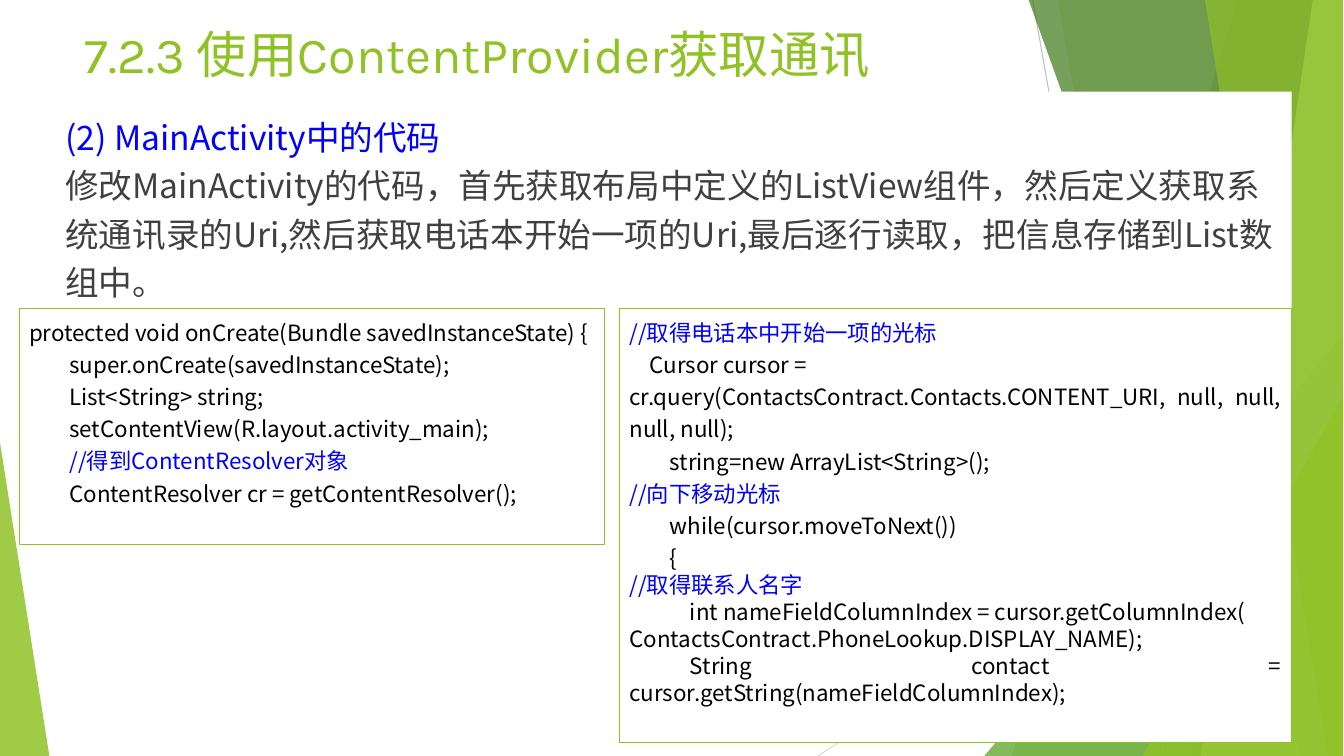
"""Build the slide on reading contacts through a ContentProvider."""
from dataclasses import dataclass
from typing import Optional

from lxml.etree import SubElement
from pptx import Presentation
from pptx.dml.color import RGBColor
from pptx.enum.shapes import MSO_CONNECTOR, MSO_SHAPE
from pptx.enum.text import MSO_ANCHOR, MSO_AUTO_SIZE, PP_ALIGN
from pptx.oxml.ns import qn
from pptx.util import Inches, Pt

WIDE, HIGH = 13.33, 7.5


@dataclass(frozen=True)
class Theme:
    """Colours, fonts and type sizes."""
    green: str = "90C226"
    leaf: str = "54A021"
    moss: str = "3F7819"
    lime: str = "C0E474"
    white: str = "FFFFFF"
    black: str = "000000"
    blue: str = "0000FF"
    grey: str = "404040"
    silver: str = "BFBFBF"
    pale: str = "D9D9D9"
    head: str = "Karla"
    body: str = "Noto Sans CJK SC"
    code: str = "Noto Sans CJK JP"
    big: int = 36
    mid: int = 24
    small: int = 16
    rule: float = 0.75


THEME = Theme()


@dataclass(frozen=True)
class Ray:
    """A thin line behind the facets."""
    start: tuple[float, float]
    end: tuple[float, float]
    hue: str


@dataclass(frozen=True)
class Band:
    """A facet running from its top and foot to the right edge."""
    top: float
    foot: float
    hue: str
    alpha: int


@dataclass(frozen=True)
class Wedge:
    """A triangle with its apex at one side."""
    box: tuple[float, float, float, float]
    apex: float
    hue: str
    alpha: int


@dataclass(frozen=True)
class Line:
    """One paragraph with its first-line indent and spacing."""
    text: str
    hue: str = THEME.black
    pad: float = 0
    gap: float = 1.2


@dataclass(frozen=True)
class Panel:
    """A rectangle holding paragraphs."""
    box: tuple[float, float, float, float]
    lines: list[Line]
    font: str
    size: int
    fill: Optional[str] = None
    edge: Optional[str] = None
    align: PP_ALIGN = PP_ALIGN.LEFT


RAYS = [
    Ray((10.25, 0), (11.58, HIGH), THEME.silver),
    Ray((WIDE, 4.03), (8.12, HIGH), THEME.pale),
]
FACETS = [
    Band(12.28, 10.04, THEME.green, 30),
    Band(10.5, 11.82, THEME.green, 20),
    Wedge((9.77, 3.33, 3.56, 4.17), 1, THEME.leaf, 72),
    Band(10.21, 12.91, THEME.moss, 70),
    Band(13.03, 11.92, THEME.lime, 70),
    Band(11.96, 13.18, THEME.green, 65),
    Wedge((11.34, 3.93, 1.99, 3.57), 1, THEME.green, 80),
    Wedge((0, 4.39, 0.49, 3.11), 0, THEME.green, 85),
]
STEP = 0.2
TITLE = [Line("7.2.3 使用ContentProvider获取通讯", THEME.green, gap=1)]
INTRO = [
    Line("(2) MainActivity中的代码", THEME.blue, gap=1.5),
    Line("修改MainActivity的代码，首先获取布局中定义的ListView组件，然后定义获取"
         "系统通讯录的Uri,然后获取电话本开始一项的Uri,最后逐行读取，"
         "把信息存储到List数组中。", THEME.grey),
]
CREATE = [
    Line("protected void onCreate(Bundle savedInstanceState) {"),
    Line("super.onCreate(savedInstanceState);", pad=2 * STEP),
    Line("List<String> string;", pad=2 * STEP),
    Line("setContentView(R.layout.activity_main);", pad=2 * STEP),
    Line("//得到ContentResolver对象", THEME.blue, 2 * STEP),
    Line("ContentResolver cr = getContentResolver();", pad=2 * STEP),
]
QUERY = [
    Line("//取得电话本中开始一项的光标", THEME.blue),
    Line("Cursor cursor =", pad=STEP),
    Line("cr.query(ContactsContract.Contacts.CONTENT_URI, null, null, null, null);"),
    Line("string=new ArrayList<String>();", pad=2 * STEP),
    Line("//向下移动光标", THEME.blue),
    Line("while(cursor.moveToNext())", pad=2 * STEP),
    Line("{", pad=2 * STEP),
    Line("//取得联系人名字", THEME.blue, gap=1),
    Line("int nameFieldColumnIndex = cursor.getColumnIndex(", pad=3 * STEP, gap=1),
    Line("ContactsContract.PhoneLookup.DISPLAY_NAME);", gap=1),
    Line("String contact = cursor.getString(nameFieldColumnIndex);",
         pad=3 * STEP, gap=1),
]
PANELS = [
    Panel((0.74, 0.18, 9.4, 1.44), TITLE, THEME.head, THEME.big),
    Panel((0.55, 0.91, 12.27, 2.15), INTRO, THEME.body, THEME.mid, THEME.white),
    Panel((0.19, 3.06, 5.81, 2.34), CREATE, THEME.code, THEME.small,
          edge=THEME.green, align=PP_ALIGN.JUSTIFY),
    Panel((6.15, 3.06, 6.67, 4.31), QUERY, THEME.code, THEME.small,
          THEME.white, THEME.green, PP_ALIGN.JUSTIFY),
]


def tint(shape, hue: str, alpha: int) -> None:
    """Fill a shape with a partly clear colour and no line."""
    shape.shadow.inherit = False
    shape.line.fill.background()
    shape.fill.solid()
    shape.fill.fore_color.rgb = RGBColor.from_string(hue)
    for tone in shape.element.spPr.iter(qn("a:srgbClr")):
        SubElement(tone, qn("a:alpha")).set("val", str(alpha * 1000))


def draw_ray(slide, ray: Ray) -> None:
    """Draw one thin line."""
    ends = [Inches(n) for n in (*ray.start, *ray.end)]
    link = slide.shapes.add_connector(MSO_CONNECTOR.STRAIGHT, *ends)
    link.line.color.rgb = RGBColor.from_string(ray.hue)
    link.line.width = Pt(THEME.rule)
    SubElement(link.element.spPr, qn("a:effectLst"))


def draw_band(slide, band: Band) -> None:
    """Draw one facet."""
    pen = slide.shapes.build_freeform(Inches(band.top), 0)
    ends = [(WIDE, 0), (WIDE, HIGH), (band.foot, HIGH)]
    pen.add_line_segments([(Inches(x), Inches(y)) for x, y in ends])
    tint(pen.convert_to_shape(), band.hue, band.alpha)


def draw_wedge(slide, wedge: Wedge) -> None:
    """Draw one triangle."""
    box = [Inches(n) for n in wedge.box]
    shape = slide.shapes.add_shape(MSO_SHAPE.ISOSCELES_TRIANGLE, *box)
    shape.adjustments[0] = wedge.apex
    tint(shape, wedge.hue, wedge.alpha)


def write(para, line: Line, panel: Panel) -> None:
    """Set one paragraph and format its run."""
    para.text = line.text
    para.alignment = panel.align
    para.line_spacing = line.gap
    para._p.get_or_add_pPr().set("indent", str(Inches(line.pad)))
    for run in para.runs:
        run.font.name = panel.font
        run.font.size = Pt(panel.size)
        run.font.color.rgb = RGBColor.from_string(line.hue)
        east = THEME.body if panel.font == THEME.head else panel.font
        SubElement(run.font._element, qn("a:ea")).set("typeface", east)


def draw_panel(slide, panel: Panel) -> None:
    """Draw one rectangle with its text."""
    box = [Inches(n) for n in panel.box]
    shape = slide.shapes.add_shape(MSO_SHAPE.RECTANGLE, *box)
    shape.shadow.inherit = False
    for part, hue in ((shape.fill, panel.fill), (shape.line.fill, panel.edge)):
        if hue:
            part.solid()
            part.fore_color.rgb = RGBColor.from_string(hue)
        else:
            part.background()
    if panel.edge:
        shape.line.width = Pt(THEME.rule)
    frame = shape.text_frame
    frame.word_wrap = True
    frame.auto_size = MSO_AUTO_SIZE.NONE
    frame.vertical_anchor = MSO_ANCHOR.TOP
    for spot, line in enumerate(panel.lines):
        para = frame.add_paragraph() if spot else frame.paragraphs[0]
        write(para, line, panel)


def main() -> None:
    """Build and save the deck."""
    deck = Presentation()
    deck.slide_width, deck.slide_height = Inches(13.34), Inches(HIGH)
    slide = deck.slides.add_slide(deck.slide_layouts[6])
    for ray in RAYS:
        draw_ray(slide, ray)
    for facet in FACETS:
        if isinstance(facet, Band):
            draw_band(slide, facet)
        else:
            draw_wedge(slide, facet)
    for panel in PANELS:
        draw_panel(slide, panel)
    deck.save("out.pptx")


if __name__ == "__main__":
    main()
